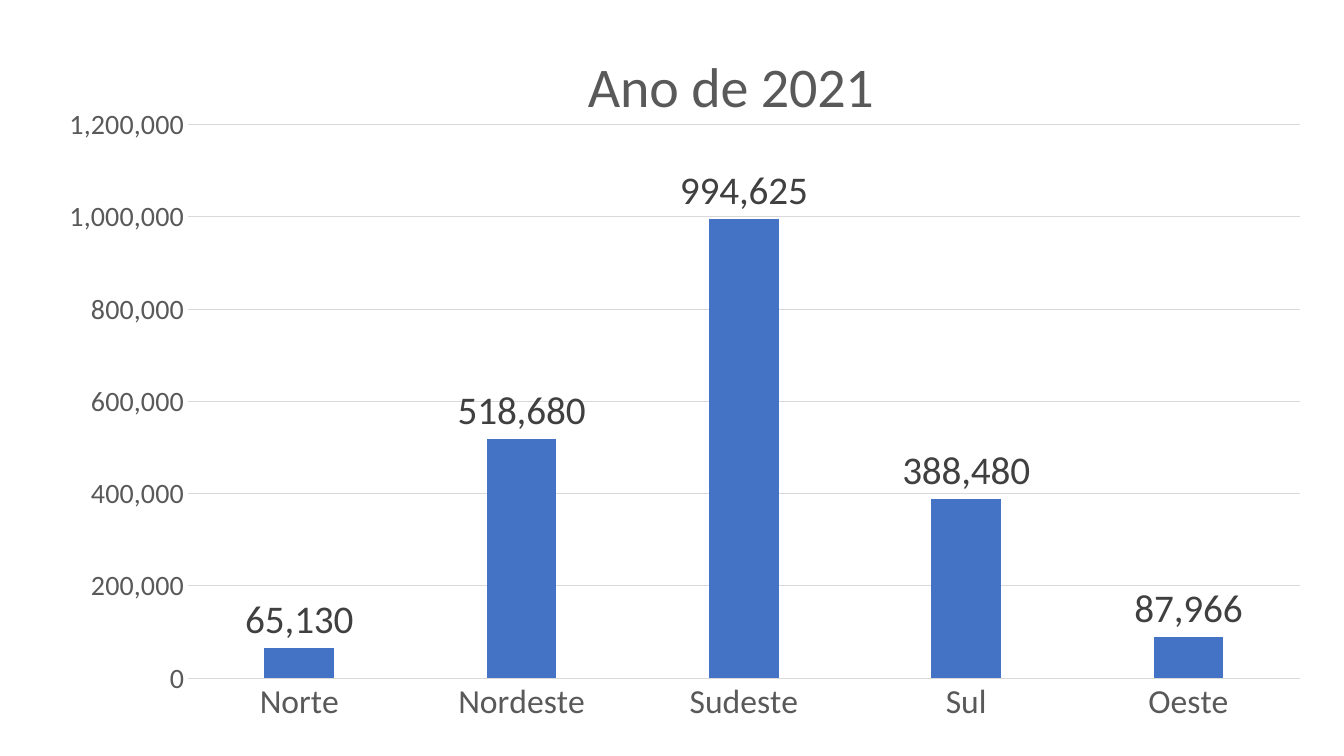
import pptx
import pptx.chart.data
import pptx.dml.color
import pptx.enum.chart
import pptx.oxml
import pptx.oxml.ns
import pptx.util

COLORS = {"bar": "4472C4", "grid": "D9D9D9", "text": "595959", "label": "404040"}
SALES = {
    "Norte": 65130,
    "Nordeste": 518680,
    "Sudeste": 994625,
    "Sul": 388480,
    "Oeste": 87966,
}


def style_font(font, size, color):
    """Set the typeface, point size and named colour of a font."""
    font.name = "Calibri"
    font.size = pptx.util.Pt(size)
    font.bold = False
    font.color.rgb = pptx.dml.color.RGBColor.from_string(COLORS[color])


def place(element, before, target="", **fractions):
    """Give a chart part a manual layout in fractions of the chart."""
    qn = pptx.oxml.ns.qn
    for old in element.findall(qn("c:layout")):
        element.remove(old)
    modes = "".join(f'<c:{side}Mode val="edge"/>' for side in "xy")
    sizes = "".join(f'<c:{key} val="{val}"/>' for key, val in fractions.items())
    layout = pptx.oxml.parse_xml(
        f'<c:layout {pptx.oxml.ns.nsdecls("c")}><c:manualLayout>'
        f"{target}{modes}{sizes}</c:manualLayout></c:layout>"
    )
    element.find(qn(before)).addprevious(layout)


prs = pptx.Presentation()
prs.slide_width = pptx.util.Cm(33.87)
prs.slide_height = pptx.util.Cm(19.05)
s = prs.slides.add_slide(prs.slide_layouts[6])

data = pptx.chart.data.CategoryChartData(number_format="#,##0")
data.categories = list(SALES)
data.add_series("Series 1", list(SALES.values()))
chart = s.shapes.add_chart(
    pptx.enum.chart.XL_CHART_TYPE.COLUMN_CLUSTERED,
    0, 0, prs.slide_width, prs.slide_height, data,
).chart
chart.has_legend = False
chart.font.name = "Calibri"
chart.font.size = pptx.util.Pt(10)

# Title
chart.has_title = True
p = chart.chart_title.text_frame.paragraphs[0]
p.text = "Ano de 2021"
style_font(p.font, 40, "text")
title = chart.chart_title._element
place(title, "c:overlay", x=0.43, y=0.05)

# Axes
grid_color = pptx.dml.color.RGBColor.from_string(COLORS["grid"])
for axis, size in ((chart.category_axis, 24), (chart.value_axis, 20)):
    axis.major_tick_mark = pptx.enum.chart.XL_TICK_MARK.NONE
    axis.minor_tick_mark = pptx.enum.chart.XL_TICK_MARK.NONE
    style_font(axis.tick_labels.font, size, "text")
chart.value_axis.minimum_scale = 0
chart.value_axis.maximum_scale = 1200000
chart.value_axis.major_unit = 200000
chart.value_axis.tick_labels.number_format = "#,##0"
chart.value_axis.tick_labels.number_format_is_linked = False
chart.value_axis.format.line.fill.background()
for line in (chart.category_axis.format.line,
             chart.value_axis.major_gridlines.format.line):
    line.color.rgb = grid_color
    line.width = pptx.util.Pt(0.75)

# Bars and their values
plot = chart.plots[0]
plot.gap_width = 219
plot.overlap = -27
plot.vary_by_categories = False
fill = plot.series[0].format.fill
fill.solid()
fill.fore_color.rgb = pptx.dml.color.RGBColor.from_string(COLORS["bar"])
labels = plot.series[0].data_labels
labels.show_value = True
labels.position = pptx.enum.chart.XL_LABEL_POSITION.OUTSIDE_END
labels.number_format = "#,##0"
labels.number_format_is_linked = False
style_font(labels.font, 28, "label")
place(title.getparent().find(pptx.oxml.ns.qn("c:plotArea")), "c:barChart",
      '<c:layoutTarget val="inner"/>', x=0.14, y=0.165, w=0.827, h=0.732)

prs.save("out.pptx")
